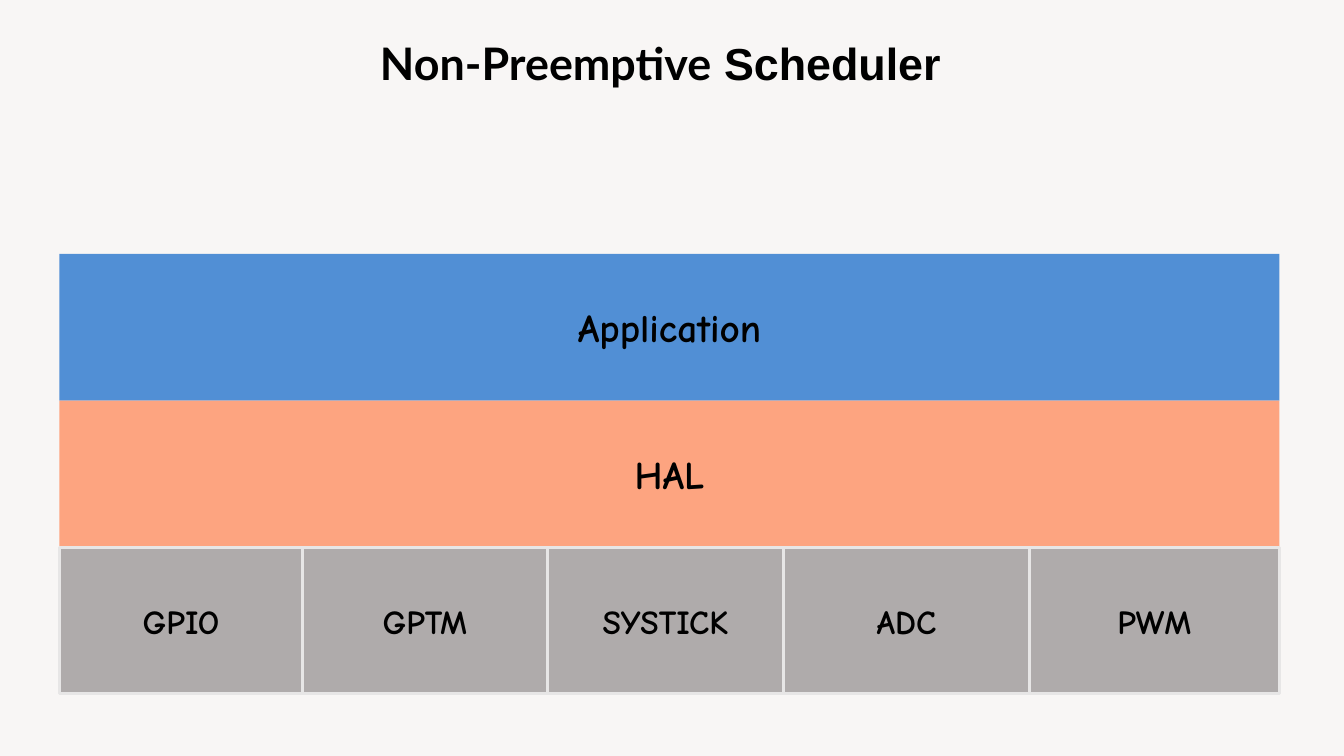
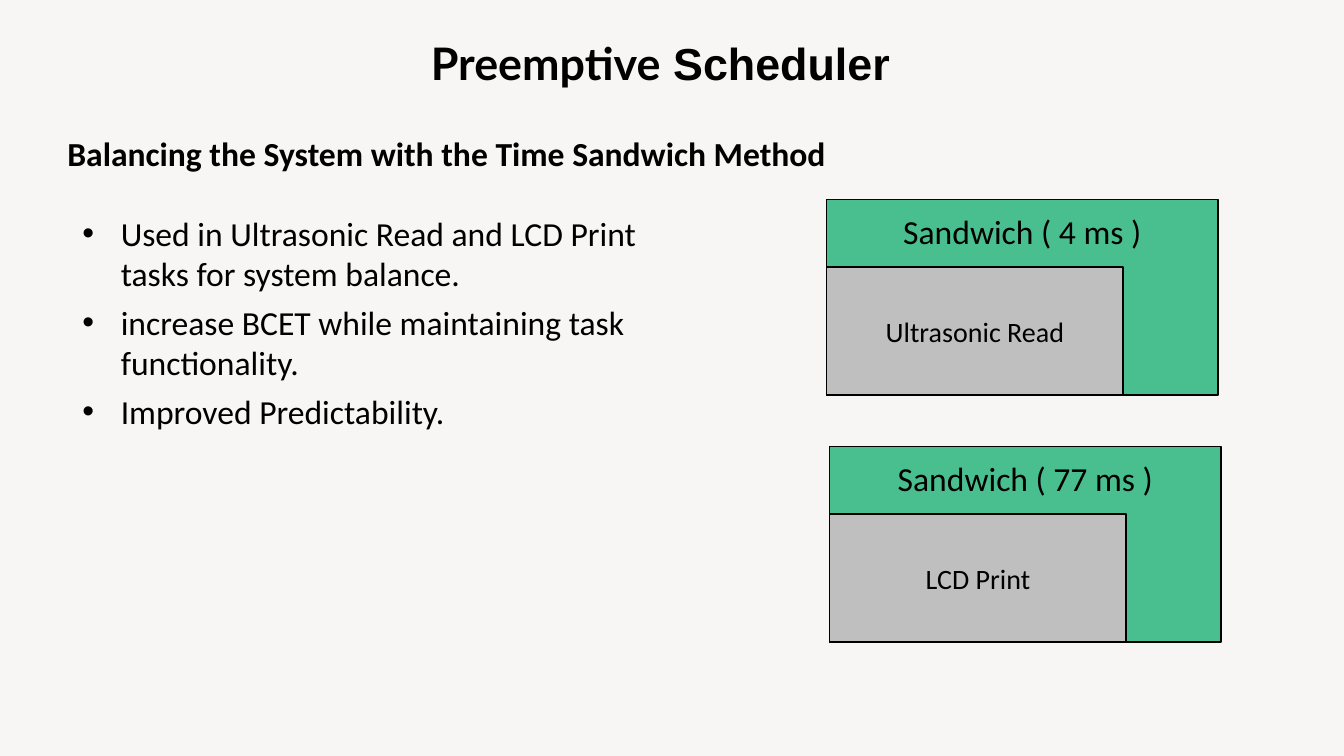
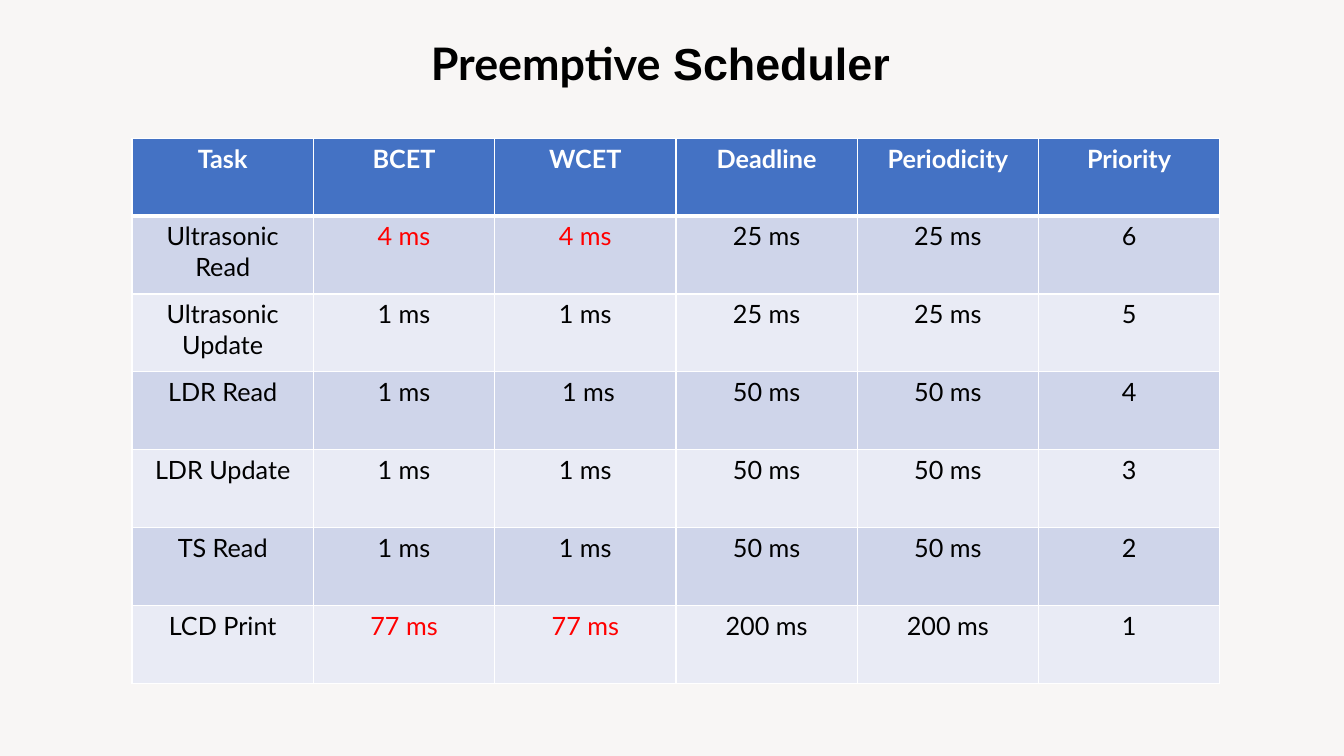
"""Build three slides on non-preemptive and preemptive task scheduling."""
from dataclasses import dataclass
from itertools import accumulate

from pptx import Presentation
from pptx import util as u
from pptx.dml.color import RGBColor
from pptx.enum import shapes, text
from pptx.oxml import parse_xml
from pptx.oxml.ns import nsdecls


@dataclass(frozen=True)
class Theme:
    """Colours, fonts and type sizes of the deck."""
    page: str = "F8F6F5"
    ink: str = "000000"
    white: str = "FFFFFF"
    alert: str = "FF0000"
    application: str = "518FD5"
    hal: str = "FDA480"
    driver: str = "AFABAB"
    driver_edge: str = "E7E6E6"
    sandwich: str = "49BF8F"
    task: str = "BFBFBF"
    header: str = "4472C4"
    bands: tuple = ("CFD5EA", "E9EBF5")
    title_font: str = "Lato"
    title_end_font: str = "Arial"
    layer_font: str = "Comic Neue"
    body_font: str = "Calibri"
    table_font: str = "Lato"
    title_size: int = 32
    layer_size: int = 28
    body_size: int = 24
    task_size: int = 20
    table_size: int = 18


THEME = Theme()
CENTER = text.PP_ALIGN.CENTER
LEFT = text.PP_ALIGN.LEFT

DRIVERS = {"GPIO": 2.41, "GPTM": 2.43, "SYSTICK": 2.34, "ADC": 2.44, "PWM": 2.48}
BENEFITS = (
    "Used in Ultrasonic Read and LCD Print tasks for system balance.",
    "increase BCET while maintaining task functionality.",
    "Improved Predictability.",
)
TIMINGS = (
    ("Task", "BCET", "WCET", "Deadline", "Periodicity", "Priority"),
    ("Ultrasonic Read", "4 ms", "4 ms", "25 ms", "25 ms", "6"),
    ("Ultrasonic Update", "1 ms", "1 ms", "25 ms", "25 ms", "5"),
    ("LDR Read", "1 ms", " 1 ms", "50 ms", "50 ms", "4"),
    ("LDR Update", "1 ms", "1 ms", "50 ms", "50 ms", "3"),
    ("TS Read", "1 ms", "1 ms", "50 ms", "50 ms", "2"),
    ("LCD Print", "77 ms", "77 ms", "200 ms", "200 ms", "1"),
)
BALANCED = ("4 ms", "77 ms")


def inches(*lengths):
    """Convert lengths to inches."""
    return [u.Inches(length) for length in lengths]


def add_run(paragraph, words, font, size, bold=False, color=THEME.ink):
    """Append one styled run to a paragraph."""
    run = paragraph.add_run()
    run.text = words
    run.font.name = font
    run.font.size = u.Pt(size)
    run.font.bold = bold
    run.font.color.rgb = RGBColor.from_string(color)


def add_block(canvas, box, fill, edge=None, edge_width=1):
    """Draw a filled rectangle and return it."""
    block = canvas.add_shape(shapes.MSO_SHAPE.RECTANGLE, *inches(*box))
    block.shadow.inherit = False
    block.fill.solid()
    block.fill.fore_color.rgb = RGBColor.from_string(fill)
    if edge:
        block.line.color.rgb = RGBColor.from_string(edge)
        block.line.width = u.Pt(edge_width)
    else:
        block.line.fill.background()
    return block


def label_block(block, words, font, size, bold=False):
    """Write a centred label in a rectangle."""
    frame = block.text_frame
    frame.vertical_anchor = text.MSO_ANCHOR.MIDDLE
    frame.paragraphs[0].alignment = CENTER
    add_run(frame.paragraphs[0], words, font, size, bold)


def add_text_frame(canvas, box):
    """Add a wrapping text box and return its frame."""
    frame = canvas.add_textbox(*inches(*box)).text_frame
    frame.word_wrap = True
    return frame


def add_line(canvas, box, words, bold=False, align=LEFT):
    """Add a single line of body text."""
    paragraph = add_text_frame(canvas, box).paragraphs[0]
    paragraph.alignment = align
    add_run(paragraph, words, THEME.body_font, THEME.body_size, bold)


def add_title_slide(deck, lead):
    """Add a blank slide with its two-font title and return its shapes."""
    canvas = deck.slides.add_slide(deck.slide_layouts[6]).shapes
    frame = add_text_frame(canvas, (1.88, 0.31, 8.81, 0.64))
    frame.margin_left = u.Inches(0.63)
    title = frame.paragraphs[0]
    title.alignment = CENTER
    add_run(title, lead, THEME.title_font, THEME.title_size, True)
    add_run(title, " Scheduler", THEME.title_end_font, THEME.title_size, True)
    return canvas


def add_bullets(canvas, box, items):
    """Add a bulleted list with hanging indents."""
    frame = add_text_frame(canvas, box)
    for index, item in enumerate(items):
        paragraph = frame.add_paragraph() if index else frame.paragraphs[0]
        paragraph.space_after = u.Pt(6)
        add_run(paragraph, item, THEME.body_font, THEME.body_size)
        properties = paragraph._p.get_or_add_pPr()
        properties.set("marL", str(u.Inches(0.38)))
        properties.set("indent", str(u.Inches(-0.38)))
        for tag in ('buFont %s typeface="Arial"', 'buChar %s char="•"'):
            properties.append(parse_xml(f"<a:{tag % nsdecls('a')}/>"))


def add_sandwich(canvas, left, top, duration, task):
    """Group a time sandwich with the task it wraps."""
    group = canvas.add_group_shape().shapes
    add_block(group, (left, top, 3.88, 1.94), THEME.sandwich, THEME.ink)
    inner = add_block(group, (left, top + 0.67, 2.94, 1.27), THEME.task, THEME.ink)
    label_block(inner, task, THEME.body_font, THEME.task_size)
    add_line(group, (left + 0.34, top + 0.06, 3.2, 0.5),
             f"Sandwich ( {duration} )", align=CENTER)


def set_borders(cell, **widths):
    """Draw white cell borders, one width in points per side."""
    for side, width in widths.items():
        cell._tc.get_or_add_tcPr().append(parse_xml(
            f'<a:ln{side} {nsdecls("a")} w="{u.Pt(width)}"><a:solidFill>'
            f'<a:srgbClr val="{THEME.white}"/></a:solidFill></a:ln{side}>'))


def style_cell(cell, words, row):
    """Fill one timing cell according to its row."""
    set_borders(cell, L=1, R=1, T=3 if row == 1 else 1, B=1 if row else 3)
    fill = THEME.bands[(row - 1) % 2] if row else THEME.header
    cell.fill.solid()
    cell.fill.fore_color.rgb = RGBColor.from_string(fill)
    color = THEME.alert if words in BALANCED else THEME.ink
    paragraph = cell.text_frame.paragraphs[0]
    paragraph.alignment = CENTER
    add_run(paragraph, words, THEME.table_font, THEME.table_size,
            row == 0, color if row else THEME.white)


def add_timing_table(canvas, box, rows):
    """Add the table of task timings."""
    table = canvas.add_table(len(rows), len(rows[0]), *inches(*box)).table
    for row, values in enumerate(rows):
        for column, words in enumerate(values):
            style_cell(table.cell(row, column), words, row)


def build_layers(deck):
    """Build the slide of software layers."""
    canvas = add_title_slide(deck, "Non-Preemptive")
    left, top, height = 0.59, 2.52, 1.455
    width = sum(DRIVERS.values())
    layers = (("Application", THEME.application), ("HAL", THEME.hal))
    for level, (name, fill) in enumerate(layers):
        layer = add_block(canvas, (left, top + level * height, width, height), fill)
        label_block(layer, name, THEME.layer_font, THEME.layer_size, True)
    driver_top = top + len(layers) * height
    starts = accumulate(DRIVERS.values(), initial=left)
    for start, (name, span) in zip(starts, DRIVERS.items()):
        driver = add_block(canvas, (start, driver_top, span, height),
                           THEME.driver, THEME.driver_edge, 2.25)
        label_block(driver, name, THEME.layer_font, THEME.body_size, True)


def build_sandwiches(deck):
    """Build the slide on the time sandwich method."""
    canvas = add_title_slide(deck, "Preemptive")
    add_line(canvas, (0.57, 1.27, 9.37, 0.5),
             "Balancing the System with the Time Sandwich Method", bold=True)
    add_bullets(canvas, (0.72, 2.06, 5.73, 2.68), BENEFITS)
    add_sandwich(canvas, 8.2, 1.98, "4 ms", "Ultrasonic Read")
    add_sandwich(canvas, 8.23, 4.43, "77 ms", "LCD Print")


def build_timings(deck):
    """Build the slide of task timings."""
    canvas = add_title_slide(deck, "Preemptive")
    add_timing_table(canvas, (1.31, 1.37, 10.79, 5.41), TIMINGS)


def main():
    """Build and save the deck."""
    deck = Presentation()
    deck.slide_width, deck.slide_height = inches(13.33, 7.5)
    page = deck.slide_master.background.fill
    page.solid()
    page.fore_color.rgb = RGBColor.from_string(THEME.page)
    build_layers(deck)
    build_sandwiches(deck)
    build_timings(deck)
    deck.save("out.pptx")


if __name__ == "__main__":
    main()
